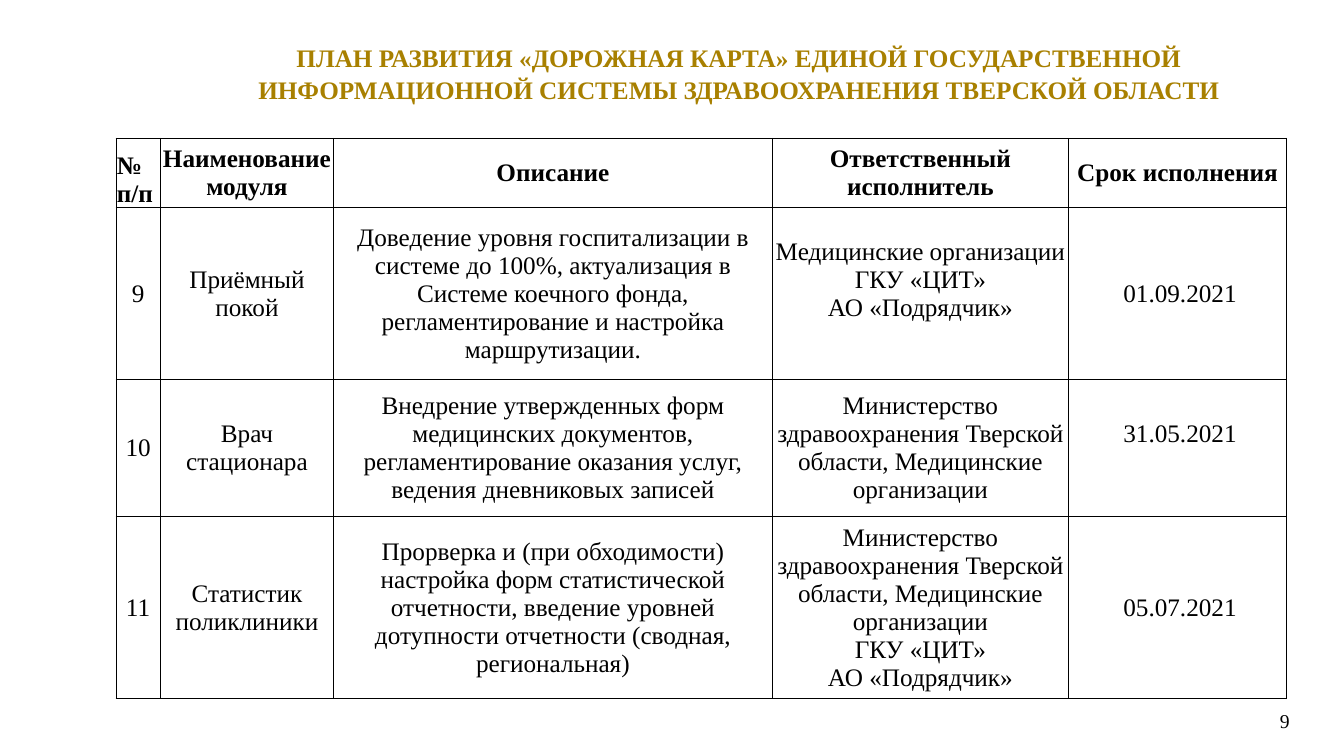
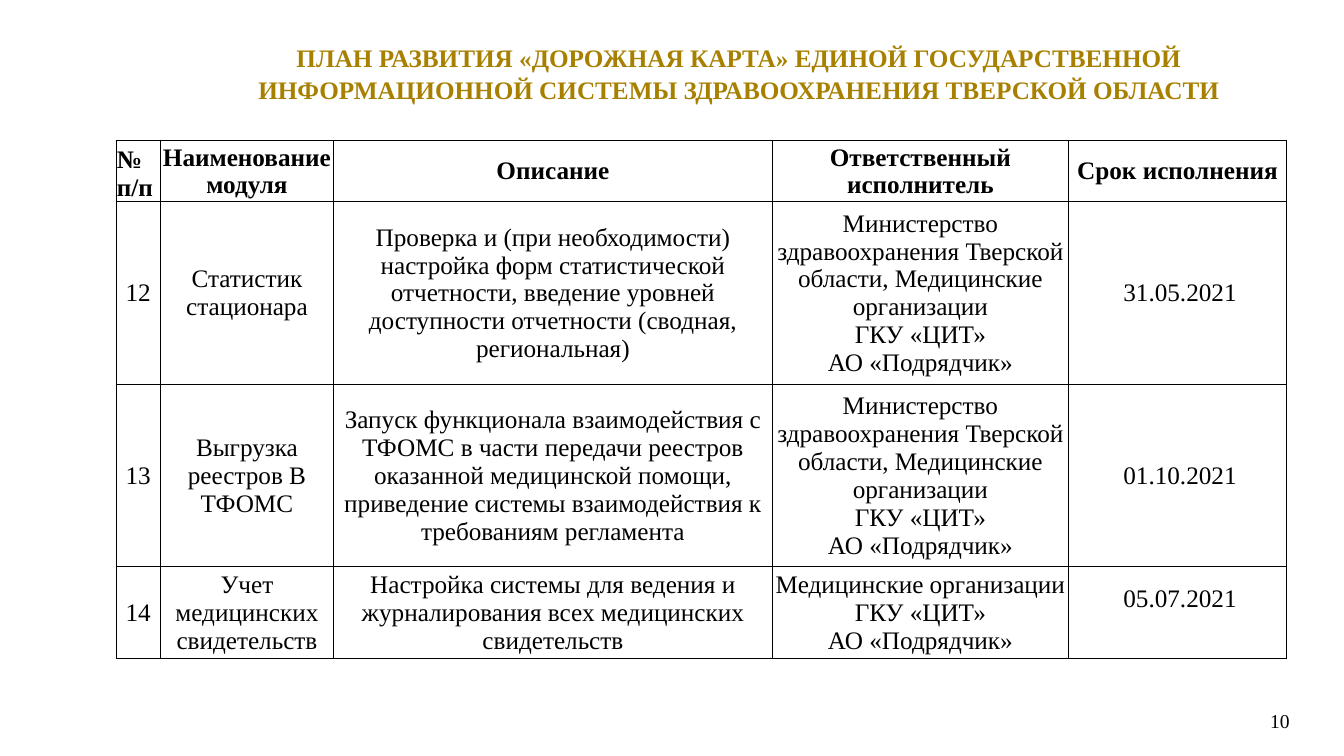
from lxml.etree import SubElement
from pptx import Presentation
from pptx.dml.color import RGBColor
from pptx.enum.text import MSO_ANCHOR, PP_ALIGN
from pptx.oxml import parse_xml
from pptx.oxml.ns import nsdecls
from pptx.util import Inches, Pt

GOLD = RGBColor(0xA8, 0x80, 0x00)
BLACK = RGBColor(0, 0, 0)
FONT = "Times New Roman"

# Shared wording
HEADING = ("ПЛАН РАЗВИТИЯ «ДОРОЖНАЯ КАРТА» ЕДИНОЙ ГОСУДАРСТВЕННОЙ "
           "ИНФОРМАЦИОННОЙ СИСТЕМЫ ЗДРАВООХРАНЕНИЯ ТВЕРСКОЙ ОБЛАСТИ")
COLUMN_NAMES = ["№ п/п", "Наименование модуля", "Описание",
                "Ответственный исполнитель", "Срок исполнения"]
CONTRACTORS = ["ГКУ «ЦИТ»", "АО «Подрядчик»"]
CLINICS = ["Медицинские организации"]
MINISTRY = ["Министерство здравоохранения Тверской области, "
            "Медицинские организации"]

# Table grid, in inches
TABLE_LEFT = 1.15
COLUMN_WIDTHS = [0.44, 1.72, 4.35, 2.94, 2.16]
EXECUTOR_COLUMN, DATE_COLUMN = 3, 4
CELL_INSET = 0.01
DATE_INDENT = 0.06
LINE = 0.28

# Page number, table top, row heights, modules, cells raised by half a line
PAGES = [
    (9, 1.37, [0.69, 1.7, 1.36, 1.81], [
        ["9", "Приёмный покой",
         "Доведение уровня госпитализации в системе до 100%, актуализация в "
         "Системе коечного фонда, регламентирование и настройка "
         "маршрутизации.",
         CLINICS + CONTRACTORS, "01.09.2021"],
        ["10", "Врач стационара",
         "Внедрение утвержденных форм медицинских документов, "
         "регламентирование оказания услуг, ведения дневниковых записей",
         MINISTRY, "31.05.2021"],
        ["11", "Статистик поликлиники",
         "Прорверка и (при обходимости) настройка форм статистической "
         "отчетности, введение уровней дотупности отчетности (сводная, "
         "региональная)",
         MINISTRY + CONTRACTORS, "05.07.2021"],
    ], {(1, EXECUTOR_COLUMN), (2, DATE_COLUMN)}),
    (10, 1.39, [0.61, 1.81, 1.81, 0.9], [
        ["12", "Статистик стационара",
         "Проверка и (при необходимости) настройка форм статистической "
         "отчетности, введение уровней доступности отчетности (сводная, "
         "региональная)",
         MINISTRY + CONTRACTORS, "31.05.2021"],
        ["13", "Выгрузка реестров В ТФОМС",
         "Запуск функционала взаимодействия с ТФОМС в части передачи "
         "реестров оказанной медицинской помощи, приведение системы "
         "взаимодействия к требованиям регламента",
         MINISTRY + CONTRACTORS, "01.10.2021"],
        ["14", "Учет медицинских свидетельств",
         "Настройка системы для ведения и журналирования всех медицинских "
         "свидетельств",
         CLINICS + CONTRACTORS, "05.07.2021"],
    ], {(3, DATE_COLUMN)}),
]


def write(frame, lines, size, color, bold=False, align=PP_ALIGN.CENTER):
    for index, line in enumerate(lines):
        paragraph = frame.add_paragraph() if index else frame.paragraphs[0]
        paragraph.alignment = align
        run = paragraph.add_run()
        run.text = line
        run.font.name = FONT
        run.font.size = Pt(size)
        run.font.bold = bold
        run.font.color.rgb = color


def outline(cell):
    properties = cell._tc.get_or_add_tcPr()
    for position, side in enumerate(("lnL", "lnR", "lnT", "lnB")):
        properties.insert(position, parse_xml(
            f'<a:{side} {nsdecls("a")} w="{Pt(0.5)}"><a:solidFill>'
            f'<a:srgbClr val="{BLACK}"/></a:solidFill></a:{side}>'))


prs = Presentation()
prs.slide_width, prs.slide_height = Inches(13.33), Inches(7.5)
title_only = prs.slide_layouts[5]

for number, table_top, row_heights, modules, raised in PAGES:
    slide = prs.slides.add_slide(title_only)

    # Heading
    heading = slide.shapes.title
    heading.left, heading.top = Inches(1.78), Inches(0.3)
    heading.width, heading.height = Inches(11.1), Inches(0.84)
    heading.text_frame.vertical_anchor = MSO_ANCHOR.MIDDLE
    write(heading.text_frame, [HEADING], 18, GOLD, bold=True)
    heading.text_frame.paragraphs[0].line_spacing = 1.07

    # Page number
    page_number = slide.shapes.add_textbox(
        Inches(12.18), Inches(6.98), Inches(0.71), Inches(0.34))
    page_number.text_frame.word_wrap = True
    write(page_number.text_frame, [str(number)], 14, BLACK,
          align=PP_ALIGN.RIGHT)

    # Road map table
    roadmap = slide.shapes.add_table(
        len(row_heights), len(COLUMN_WIDTHS), Inches(TABLE_LEFT),
        Inches(table_top), Inches(sum(COLUMN_WIDTHS)),
        Inches(sum(row_heights))).table
    roadmap.first_row = True
    roadmap.horz_banding = False
    for column, width in zip(roadmap.columns, COLUMN_WIDTHS):
        column.width = Inches(width)
    for row, height in zip(roadmap.rows, row_heights):
        row.height = Inches(height)

    for r, entries in enumerate([COLUMN_NAMES] + modules):
        for c, entry in enumerate(entries):
            cell = roadmap.cell(r, c)
            corner = r == c == 0
            indented = r > 0 and c == DATE_COLUMN
            cell.margin_left = Inches(DATE_INDENT if indented else CELL_INSET)
            cell.margin_right = cell.margin_top = Inches(CELL_INSET)
            cell.margin_bottom = Inches(LINE if (r, c) in raised else 0)
            cell.vertical_anchor = (MSO_ANCHOR.BOTTOM if corner
                                    else MSO_ANCHOR.MIDDLE)
            cell.fill.background()
            outline(cell)
            write(cell.text_frame,
                  entry if isinstance(entry, list) else [entry],
                  18, BLACK, bold=r == 0,
                  align=PP_ALIGN.LEFT if corner else PP_ALIGN.CENTER)

prs.save("out.pptx")
